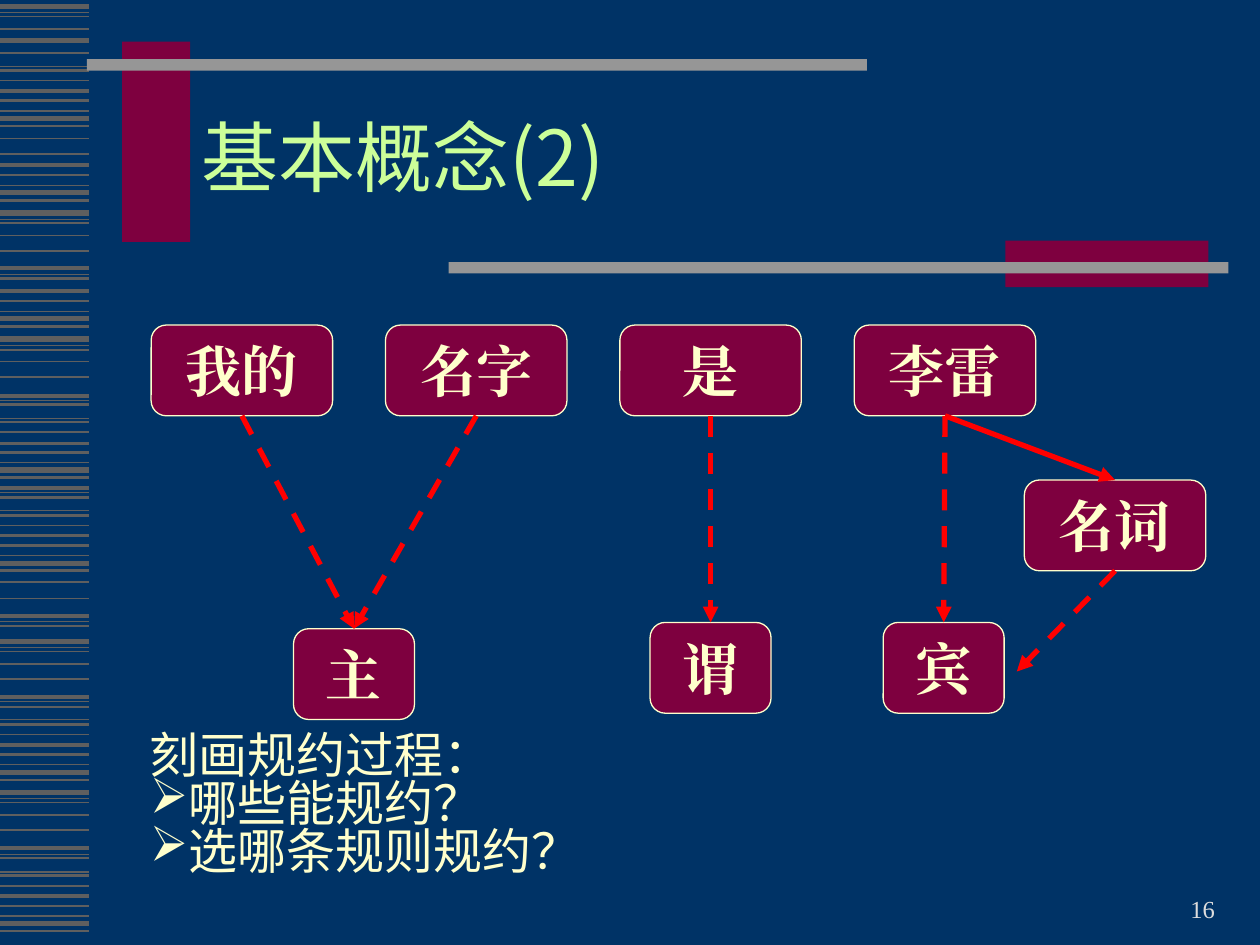
from lxml import etree
from pptx import Presentation
from pptx.dml.color import RGBColor
from pptx.enum.dml import MSO_LINE
from pptx.enum.shapes import MSO_CONNECTOR, MSO_SHAPE
from pptx.enum.text import MSO_ANCHOR, PP_ALIGN
from pptx.oxml.ns import qn
from pptx.util import Inches, Pt

STRAIGHT = MSO_CONNECTOR.STRAIGHT
RECT, ROUNDED = MSO_SHAPE.RECTANGLE, MSO_SHAPE.ROUNDED_RECTANGLE
MIDDLE, BOTTOM = MSO_ANCHOR.MIDDLE, MSO_ANCHOR.BOTTOM
CENTER, RIGHT = PP_ALIGN.CENTER, PP_ALIGN.RIGHT
DASH = MSO_LINE.DASH

NAVY = RGBColor(0x00, 0x33, 0x66)
STRIPE = RGBColor(0x5F, 0x5F, 0x5F)
WINE = RGBColor(0x7E, 0x00, 0x3F)
GRAY = RGBColor(0x96, 0x96, 0x96)
LIGHT_GRAY = RGBColor(0xDD, 0xDD, 0xDD)
GREEN = RGBColor(0xCC, 0xFF, 0x99)
CREAM = RGBColor(0xFF, 0xFF, 0xCC)
RED = RGBColor(0xFF, 0x00, 0x00)
SANS, SERIF = "Noto Sans CJK SC", "Times New Roman"

# Line width in points -> heights of the stripes along the left edge
STRIPES = {
    0.75: [0.1, 0.53, 0.88, 1.47, 1.74, 2.18, 2.47, 2.74, 3.18, 3.32, 3.67, 3.91,
           4.05, 4.41, 4.93, 5.14, 5.57, 5.71, 6.07, 6.34, 6.78, 6.92, 7.27],
    1: [0.13, 0.23, 0.64, 1.1, 1.22, 1.77, 1.87, 1.99, 2.78, 2.87, 2.99, 3.43,
        4.17, 4.62, 4.75, 5.17, 5.27, 5.39, 5.83, 6.37, 6.47, 6.59, 7.03],
    1.5: [0.42, 0.56, 0.8, 1, 1.39, 1.59, 2.21, 2.39, 2.59, 3.21, 3.35, 3.59, 3.79,
          3.95, 4.09, 4.33, 4.53, 4.97, 5.61, 5.75, 5.99, 6.19, 6.81, 6.95, 7.19, 7.39],
    2.25: [0.72, 1.31, 2.13, 2.31, 3.14, 3.52, 3.87, 4.25, 4.89, 5.53, 5.91, 6.73, 7.11],
    3: [0.05, 0.32, 0.94, 1.53, 1.69, 2.53, 2.69, 3.73, 4.47, 5.09, 6.13, 6.29, 7.33],
}


def set_text(p, text, size, color, name, bold=False):
    """Write one paragraph, with the same font for Latin and Chinese."""
    p.text = text
    p.font.size, p.font.bold = Pt(size), bold
    p.font.color.rgb = color
    p.font.name = name
    props = p._p.get_or_add_pPr().get_or_add_defRPr()
    etree.SubElement(props, qn("a:ea"), typeface=name)


def add_line(start, end, color, width):
    line = s.shapes.add_connector(STRAIGHT, *map(Inches, start + end))
    line.line.color.rgb = color
    line.line.width = Pt(width)
    etree.SubElement(line._element.spPr, qn("a:effectLst"))
    return line


prs = Presentation()
prs.slide_width, prs.slide_height = Inches(10), Inches(7.5)
s = prs.slides.add_slide(prs.slide_layouts[6])
s.background.fill.solid()
s.background.fill.fore_color.rgb = NAVY

for width, heights in STRIPES.items():
    for y in heights:
        add_line((0, y), (0.71, y), STRIPE, width)

for box, color in [
    ((0.97, 0.33, 0.54, 1.59), WINE),
    ((0.69, 0.47, 6.19, 0.09), GRAY),
    ((7.98, 1.91, 1.61, 0.37), WINE),
    ((3.56, 2.08, 6.19, 0.09), GRAY),
]:
    sp = s.shapes.add_shape(RECT, *map(Inches, box))
    sp.shadow.inherit = False
    sp.fill.solid()
    sp.fill.fore_color.rgb = color
    sp.line.fill.background()

# Page number and title
for box, text, size, color, name, anchor, align, spacing in [
    ((7.34, 6.88, 2.4, 0.5), "16", 14, LIGHT_GRAY, SERIF, BOTTOM, RIGHT, None),
    ((1.5, 0.67, 8.07, 1.25), "基本概念(2)", 44, GREEN, SANS, MIDDLE, None, 0.85),
]:
    tf = s.shapes.add_textbox(*map(Inches, box)).text_frame
    tf.word_wrap = True
    tf.vertical_anchor = anchor
    p = tf.paragraphs[0]
    p.alignment, p.line_spacing = align, spacing
    set_text(p, text, size, color, name)

# Words on top, the parts of the sentence they reduce to below
nodes = {}
words = [(word, 1.2 + 1.86 * i, 2.58, 1.44)
         for i, word in enumerate(["我的", "名字", "是", "李雷"])]
parts = [("名词", 8.13, 3.81, 1.44), ("主", 2.33, 4.99, 0.96),
         ("谓", 5.16, 4.94, 0.96), ("宾", 7.01, 4.94, 0.96)]
for text, x, y, w in words + parts:
    sp = s.shapes.add_shape(ROUNDED, Inches(x), Inches(y), Inches(w), Inches(0.72))
    sp.shadow.inherit = False
    sp.fill.solid()
    sp.fill.fore_color.rgb = WINE
    sp.line.color.rgb = CREAM
    sp.line.width = Pt(0.75)
    tf = sp.text_frame
    tf.word_wrap = False
    tf.vertical_anchor = MIDDLE
    p = tf.paragraphs[0]
    p.alignment = CENTER
    set_text(p, text, 32, CREAM, SERIF, bold=True)
    nodes[text] = sp

# The last arrow stops short of its target
for source, target, dash in [
    ("名字", "主", DASH), ("我的", "主", DASH), ("是", "谓", DASH),
    ("李雷", "宾", DASH), ("李雷", "名词", None), ("名词", None, DASH),
]:
    arrow = add_line((8.85, 4.53), (8.07, 5.33), RED, 3)
    arrow.begin_connect(nodes[source], 2)
    if target:
        arrow.end_connect(nodes[target], 0)
    arrow.line.dash_style = dash
    etree.SubElement(arrow.line._get_or_add_ln(), qn("a:tailEnd"), type="triangle")

tf = s.shapes.add_textbox(Inches(1.09), Inches(5.78), Inches(7.28), Inches(1.5)).text_frame
tf.word_wrap = True
for i, text in enumerate(["刻画规约过程：", "哪些能规约？", "选哪条规则规约？"]):
    p = tf.add_paragraph() if i else tf.paragraphs[0]
    if i:
        props = p._p.get_or_add_pPr()
        bullet_color = etree.SubElement(props, qn("a:buClr"))
        etree.SubElement(bullet_color, qn("a:srgbClr"), val=str(CREAM))
        etree.SubElement(props, qn("a:buChar"), char="➢")
    p.line_spacing = 0.82
    set_text(p, text, 28, CREAM, SANS)

prs.save("out.pptx")
